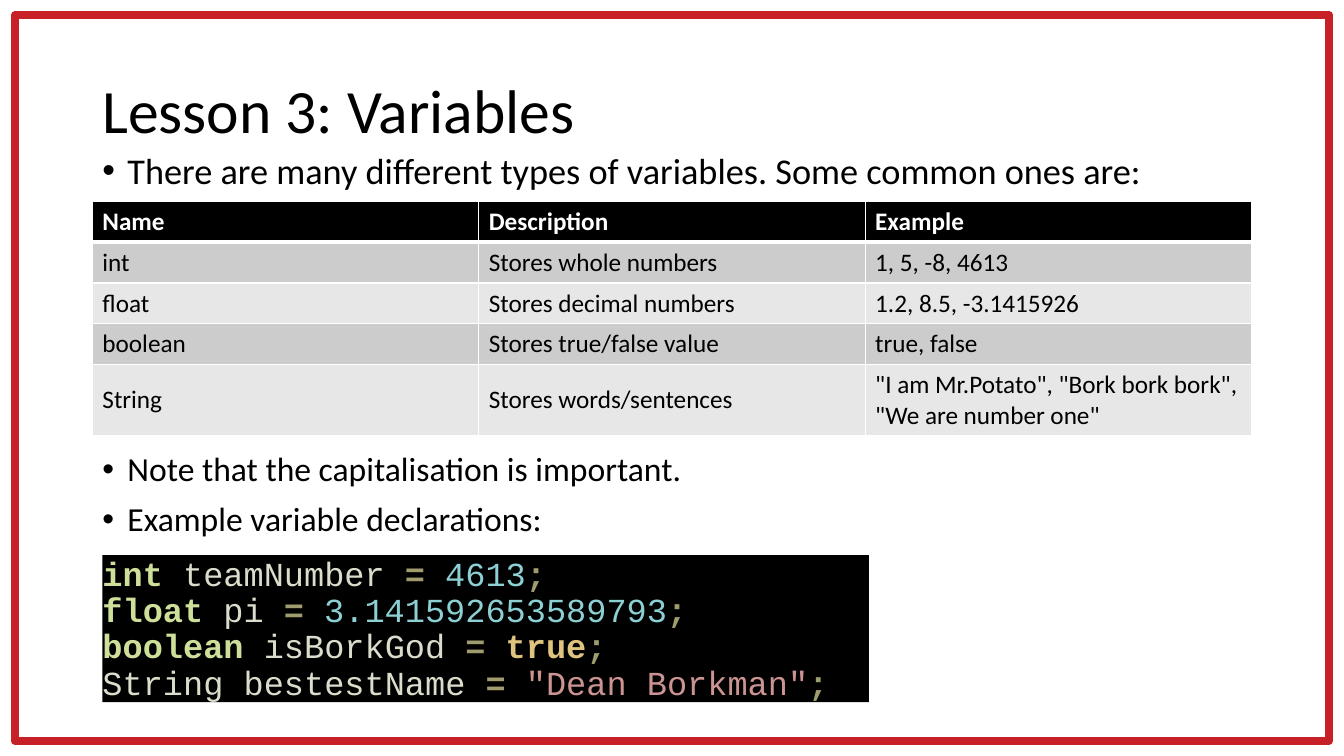
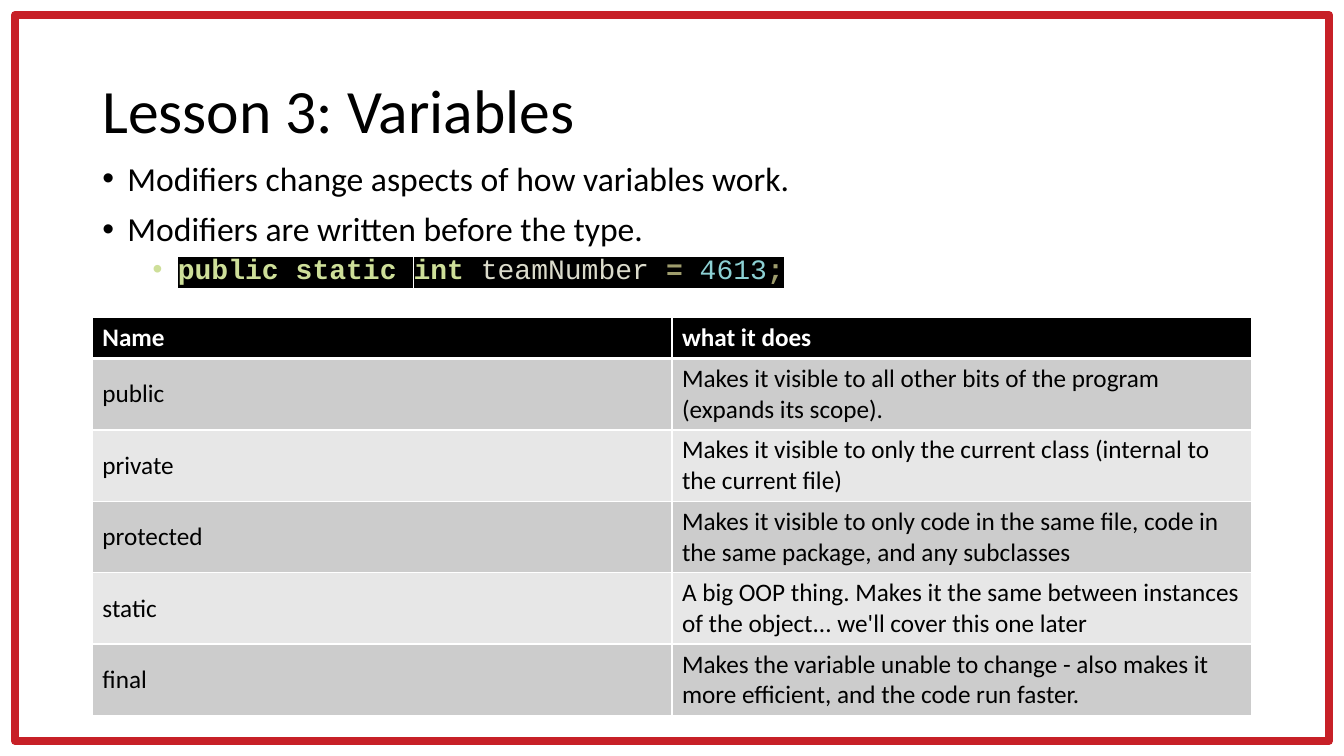
from dataclasses import dataclass

from lxml import etree
from pptx import Presentation
from pptx import util as u
from pptx.dml import color
from pptx.enum import shapes, text
from pptx.oxml import ns

Pt = u.Pt


@dataclass(frozen=True)
class Theme:
    # Colours
    black: str = "000000"
    white: str = "FFFFFF"
    red: str = "C72027"
    bands: tuple = ("CCCCCC", "E7E7E7")
    # Type
    font: str = "Calibri"
    mono: str = "Courier New"
    title: float = 44
    lead: float = 25.9
    body: float = 24
    small: float = 20
    cell: float = 18
    # Margins
    left: float = 66
    width: float = 828


# Code token kinds: colour and weight
TOKENS = {
    "key": ("CEDF99", True),
    "name": ("DCDCCC", False),
    "sign": ("9F9D6D", True),
    "num": ("8CD0D3", False),
    "bool": ("DFC47D", True),
    "text": ("CC9393", False),
}
EQUALS = [("=", "sign"), (" ", "name")]
END = [(";", "sign")]


def assign(head, value, kind):
    return head + EQUALS + [(value, kind)] + END


def rgb(value):
    return color.RGBColor.from_string(value)


def add_fill(node, tag, value):
    """Append a colour element under node and return it."""
    part = etree.SubElement(node, ns.qn("a:" + tag))
    etree.SubElement(part, ns.qn("a:srgbClr"), val=value)
    return part


class Deck:
    def __init__(self, theme):
        self.theme = theme
        self.prs = Presentation()
        self.prs.slide_width, self.prs.slide_height = Pt(960), Pt(540)
        self.slide = None

    # Slide with red frame and title
    def page(self, title):
        t = self.theme
        self.slide = self.prs.slides.add_slide(self.prs.slide_layouts[6])
        frame = self.rect(10.8, 10.8, 938.4, 518.4)
        frame.fill.background()
        frame.line.color.rgb = rgb(t.red)
        frame.line.width = Pt(6)
        box = self.box(28.8, 104.4)
        box.vertical_anchor = text.MSO_ANCHOR.MIDDLE
        box.text = title
        box.paragraphs[0].line_spacing = 0.9
        self.style(box.paragraphs[0].runs[0], t.title, t.black)

    def rect(self, left, top, width, height):
        shape = self.slide.shapes.add_shape(
            shapes.MSO_SHAPE.RECTANGLE, Pt(left), Pt(top), Pt(width), Pt(height))
        shape.shadow.inherit = False
        return shape

    def box(self, top, height):
        t = self.theme
        frame = self.slide.shapes.add_textbox(
            Pt(t.left), Pt(top), Pt(t.width), Pt(height)).text_frame
        frame.word_wrap = True
        return frame

    def style(self, run, size, hue, bold=False, font=None):
        run.font.size = Pt(size)
        run.font.name = font or self.theme.font
        run.font.bold = bold
        run.font.color.rgb = rgb(hue)

    def bullet(self, para, indent, before, spacing):
        para.line_spacing = spacing
        para.space_before = Pt(before)
        props = para._p.get_or_add_pPr()
        props.set("marL", str(Pt(indent)))
        props.set("indent", str(Pt(-18)))
        etree.SubElement(props, ns.qn("a:buFont"), typeface="Arial")
        etree.SubElement(props, ns.qn("a:buChar"), char="•")

    # Bullet list
    def bullets(self, top, height, items, size=None, spacing=0.9):
        frame = self.box(top, height)
        frame.text = "\n".join(items)
        for para in frame.paragraphs:
            self.bullet(para, 18, 10, spacing)
            self.style(para.runs[0], size or self.theme.body, self.theme.black)
        return frame

    # Coloured code
    def tokens(self, para, parts, size, mark=False):
        for word, kind in parts:
            run = para.add_run()
            run.text = word
            hue, bold = TOKENS[kind]
            self.style(run, size, hue, bold, self.theme.mono)
            if mark:
                props = run._r.get_or_add_rPr()
                light = add_fill(props, "highlight", self.theme.black)
                props.find(ns.qn("a:solidFill")).addnext(light)

    def sample(self, frame, parts):
        para = frame.add_paragraph()
        para.level = 1
        self.bullet(para, 54, 5, 0.9)
        self.tokens(para, parts, self.theme.small, mark=True)

    def code(self, left, top, width, height, lines):
        t = self.theme
        panel = self.rect(left, top, width, height)
        panel.fill.solid()
        panel.fill.fore_color.rgb = rgb(t.black)
        panel.line.fill.background()
        frame = panel.text_frame
        frame.margin_left = frame.margin_right = 0
        frame.margin_top = frame.margin_bottom = 0
        frame.vertical_anchor = text.MSO_ANCHOR.BOTTOM
        frame.text = "\n" * (len(lines) - 1)
        for para, parts in zip(frame.paragraphs, lines):
            para.alignment = text.PP_ALIGN.LEFT
            para.line_spacing = Pt(26)
            self.tokens(para, parts, t.body)

    # Banded table; deep lists the rows with two lines of text
    def table(self, top, rows, deep):
        t = self.theme
        tall = [51 if i in deep else 29.1 for i in range(len(rows))]
        count = len(rows[0])
        grid = self.slide.shapes.add_table(
            len(rows), count, Pt(t.left), Pt(top), Pt(t.width), Pt(sum(tall))).table
        for col in grid.columns:
            col.width = Pt(t.width / count)
        for i, row in enumerate(rows):
            grid.rows[i].height = Pt(tall[i])
            for j, word in enumerate(row):
                self.cell(grid.cell(i, j), word, i)

    def cell(self, cell, word, i):
        t = self.theme
        head = i == 0
        cell.text = word
        cell.vertical_anchor = text.MSO_ANCHOR.MIDDLE
        self.style(cell.text_frame.paragraphs[0].runs[0], t.cell,
                   t.white if head else t.black, head)
        props = cell._tc.get_or_add_tcPr()
        widths = {"L": 1, "R": 1, "T": 3 if i == 1 else 1, "B": 3 if head else 1}
        for side, width in widths.items():
            line = etree.SubElement(props, ns.qn("a:ln" + side), w=str(Pt(width)))
            add_fill(line, "solidFill", t.white)
        cell.fill.solid()
        cell.fill.fore_color.rgb = rgb(t.black if head else t.bands[(i - 1) % 2])


def main():
    theme = Theme()
    deck = Deck(theme)
    title = "Lesson 3: Variables"

    # Types
    deck.page(title)
    deck.bullets(108.7, 33, [
        "There are many different types of variables. Some common ones are:",
    ], theme.lead, 0.8)
    deck.table(144, [
        ("Name", "Description", "Example"),
        ("int", "Stores whole numbers", "1, 5, -8, 4613"),
        ("float", "Stores decimal numbers", "1.2, 8.5, -3.1415926"),
        ("boolean", "Stores true/false value", "true, false"),
        ("String", "Stores words/sentences",
         '"I am Mr.Potato", "Bork bork bork", "We are number one"'),
    ], deep=[4])
    deck.bullets(319.7, 72, [
        "Note that the capitalisation is important.",
        "Example variable declarations:",
    ])
    deck.code(73.2, 396.5, 547.5, 105, [
        assign([("int", "key"), (" teamNumber ", "name")], "4613", "num"),
        assign([("float", "key"), (" pi ", "name")], "3.141592653589793", "num"),
        assign([("boolean", "key"), (" isBorkGod ", "name")], "true", "bool"),
        assign([("String bestestName ", "name")], '"Dean Borkman"', "text"),
    ])

    # Modifiers
    deck.page(title)
    frame = deck.bullets(112.3, 110, [
        "Modifiers change aspects of how variables work.",
        "Modifiers are written before the type.",
    ])
    deck.sample(frame, assign(
        [("public", "key"), (" ", "name"), ("static", "key"), (" ", "name"),
         ("int", "key"), (" teamNumber ", "name")], "4613", "num"))
    deck.table(227, [
        ("Name", "what it does"),
        ("public", "Makes it visible to all other bits of the program "
                   "(expands its scope)."),
        ("private", "Makes it visible to only the current class "
                    "(internal to the current file)"),
        ("protected", "Makes it visible to only code in the same file, "
                      "code in the same package, and any subclasses"),
        ("static", "A big OOP thing. Makes it the same between instances "
                   "of the object... we'll cover this one later"),
        ("final", "Makes the variable unable to change - also makes it "
                  "more efficient, and the code run faster."),
    ], deep=range(1, 6))

    deck.prs.save("out.pptx")


if __name__ == "__main__":
    main()
